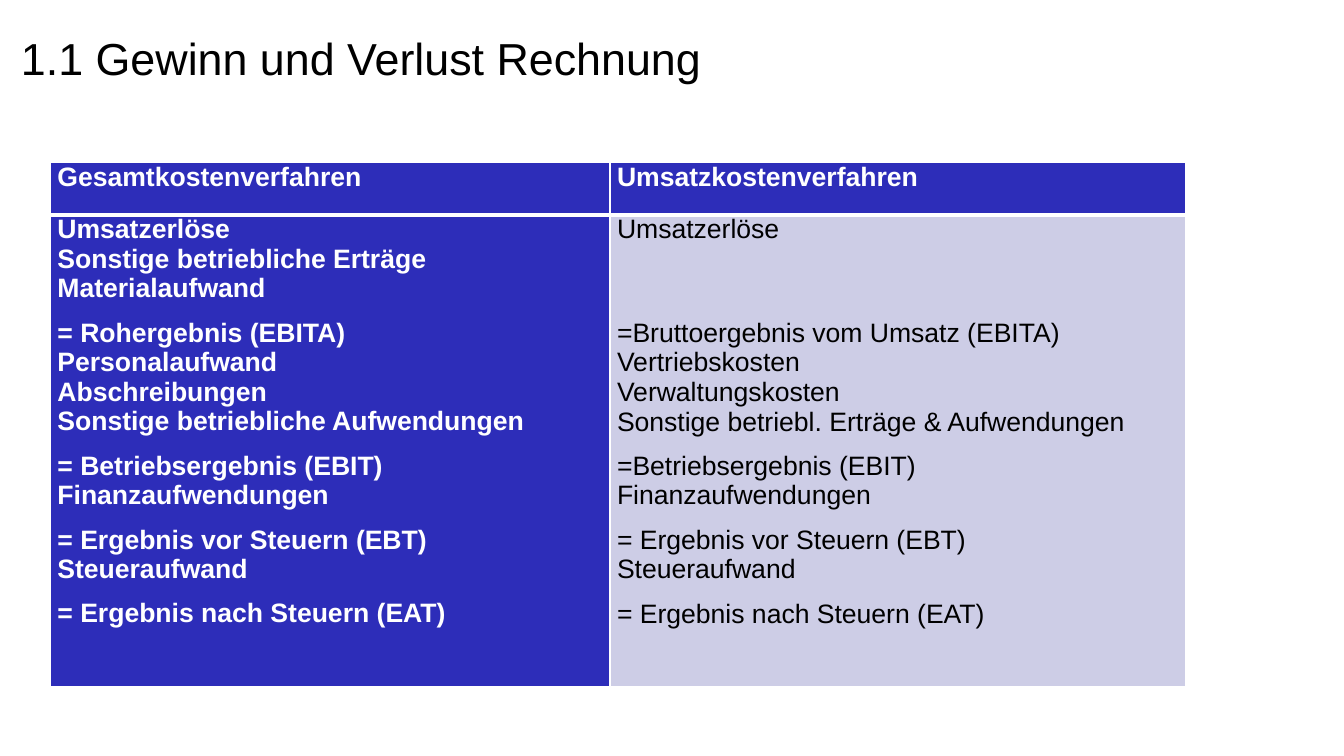
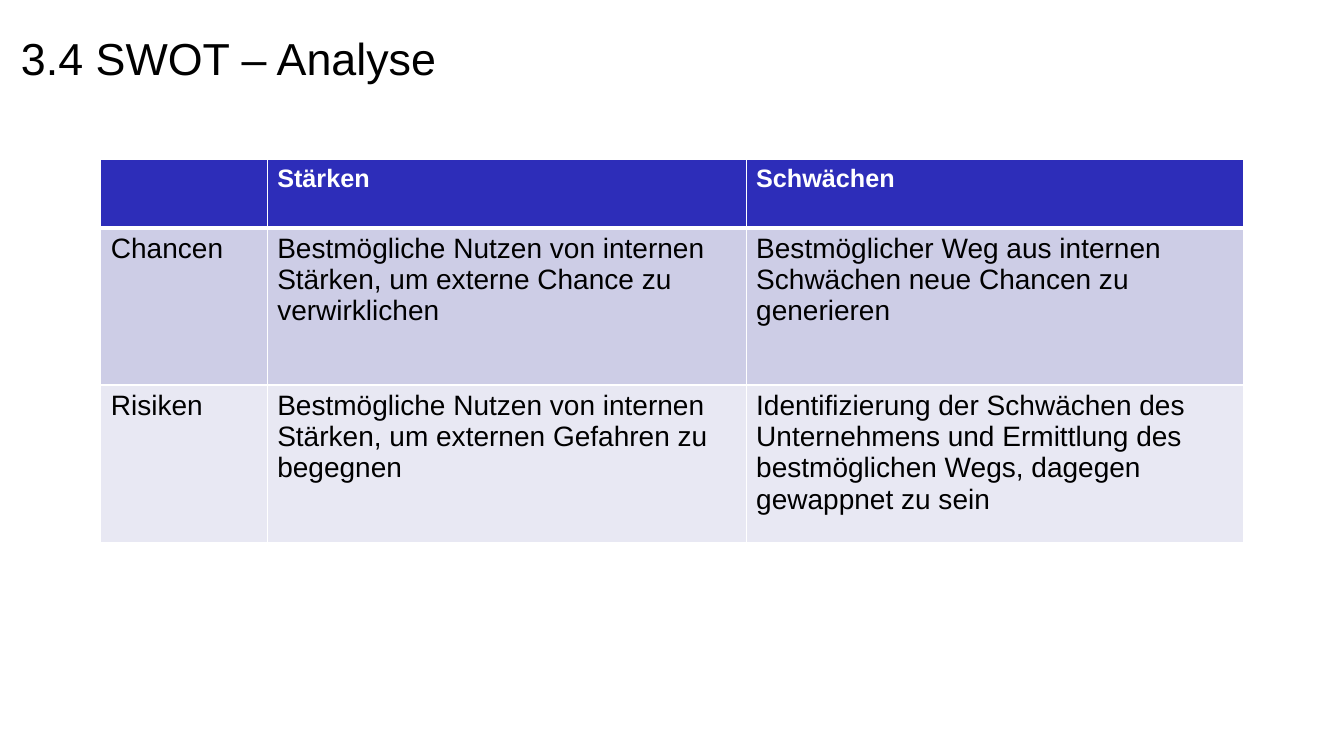
"""Build two slides with tables on profit and loss accounting and SWOT analysis."""
import pptx
import pptx.dml.color
import pptx.enum.text
import pptx.oxml
import pptx.oxml.ns
import pptx.util

Inches, Pt = pptx.util.Inches, pptx.util.Pt
RGBColor = pptx.dml.color.RGBColor

BLUE = RGBColor(0x2D, 0x2D, 0xB9)
LAVENDER = RGBColor(0xCD, 0xCD, 0xE6)
PALE = RGBColor(0xE8, 0xE8, 0xF3)
WHITE = RGBColor(0xFF, 0xFF, 0xFF)
BLACK = RGBColor(0x00, 0x00, 0x00)
FONT = "Arial"
THIN, THICK = 1, 3
LINE_FACTOR = 1.117

TOTAL_COST = [
    "Umsatzerlöse", "Sonstige betriebliche Erträge", "Materialaufwand",
    "= Rohergebnis (EBITA)", "Personalaufwand", "Abschreibungen",
    "Sonstige betriebliche Aufwendungen",
    "= Betriebsergebnis (EBIT)", "Finanzaufwendungen",
    "= Ergebnis vor Steuern (EBT)", "Steueraufwand",
    "= Ergebnis nach Steuern (EAT)",
]
COST_OF_SALES = [
    "Umsatzerlöse",
    "=Bruttoergebnis vom Umsatz (EBITA)", "Vertriebskosten", "Verwaltungskosten",
    "Sonstige betriebl. Erträge & Aufwendungen",
    "=Betriebsergebnis (EBIT)", "Finanzaufwendungen",
    "= Ergebnis vor Steuern (EBT)", "Steueraufwand",
    "= Ergebnis nach Steuern (EAT)",
]

SLIDES = [
    {
        "title": "1.1 Gewinn und Verlust Rechnung",
        "at": (0.5, 1.61),
        "cols": [5.55, 5.71],
        "rows": [0.52, 4.68],
        "insets": (0.07, 0),
        "sizes": (19, 19),
        "strong_first_col": True,
        "gaps": {"=Bruttoergebnis vom Umsatz (EBITA)": 2},
        "cells": [
            [["Gesamtkostenverfahren"], ["Umsatzkostenverfahren"]],
            [TOTAL_COST, COST_OF_SALES],
        ],
    },
    {
        "title": "3.4 SWOT – Analyse",
        "at": (1, 1.58),
        "cols": [1.65, 4.75, 4.93],
        "rows": [0.68, 1.56, 1.56],
        "insets": (0.1, 0.05),
        "sizes": (18, 20),
        "strong_first_col": False,
        "gaps": {},
        "cells": [
            [[], ["Stärken"], ["Schwächen"]],
            [["Chancen"],
             ["Bestmögliche Nutzen von internen Stärken, um externe Chance zu verwirklichen"],
             ["Bestmöglicher Weg aus internen Schwächen neue Chancen zu generieren"]],
            [["Risiken"],
             ["Bestmögliche Nutzen von internen Stärken, um externen Gefahren zu begegnen"],
             ["Identifizierung der Schwächen des Unternehmens und Ermittlung des "
              "bestmöglichen Wegs, dagegen gewappnet zu sein"]],
        ],
    },
]


def add_run(p, text, size, color, bold=False):
    r = p.add_run()
    r.text = text
    r.font.name, r.font.size, r.font.bold = FONT, Pt(size), bold
    r.font.color.rgb = color


def add_title(s, text):
    sp = s.shapes.add_textbox(Inches(0.11), Inches(0.28), Inches(11.33), Inches(0.58))
    tf = sp.text_frame
    tf.word_wrap = True
    tf.vertical_anchor = pptx.enum.text.MSO_ANCHOR.MIDDLE
    add_run(tf.paragraphs[0], text, 32, BLACK)


def set_borders(cell, row):
    widths = {
        "L": THIN, "R": THIN,
        "T": THICK if row == 1 else THIN,
        "B": THICK if row == 0 else THIN,
    }
    tc_pr = cell._tc.get_or_add_tcPr()
    for i, (side, width) in enumerate(widths.items()):
        tc_pr.insert(i, pptx.oxml.parse_xml(
            f'<a:ln{side} {pptx.oxml.ns.nsdecls("a")} w="{Pt(width)}">'
            f'<a:solidFill><a:srgbClr val="{WHITE}"/></a:solidFill></a:ln{side}>'))


def fill_cell(cell, lines, row, col, data):
    strong = row == 0 or (col == 0 and data["strong_first_col"])
    size = data["sizes"][min(row, 1)]
    cell.fill.solid()
    cell.fill.fore_color.rgb = BLUE if strong else (LAVENDER if row == 1 else PALE)
    set_borders(cell, row)
    side, top = map(Inches, data["insets"])
    cell.margin_left = cell.margin_right = side
    cell.margin_top = cell.margin_bottom = top
    tf = cell.text_frame
    for i, line in enumerate(lines):
        p = tf.add_paragraph() if i else tf.paragraphs[0]
        if line.startswith("="):
            p.line_spacing = 1.5
        if line in data["gaps"]:
            p.space_before = Pt(round(data["gaps"][line] * size * LINE_FACTOR, 1))
        add_run(p, line, size, WHITE if strong else BLACK, strong)


def add_grid(s, data):
    cols, rows = data["cols"], data["rows"]
    left, top = data["at"]
    table = s.shapes.add_table(len(rows), len(cols), Inches(left), Inches(top),
                               Inches(sum(cols)), Inches(sum(rows))).table
    table.horz_banding = False
    for column, width in zip(table.columns, cols):
        column.width = Inches(width)
    for row, height in zip(table.rows, rows):
        row.height = Inches(height)
    for i, row in enumerate(data["cells"]):
        for j, lines in enumerate(row):
            fill_cell(table.cell(i, j), lines, i, j, data)


def main():
    prs = pptx.Presentation()
    prs.slide_width, prs.slide_height = Inches(13.33), Inches(7.5)
    for data in SLIDES:
        s = prs.slides.add_slide(prs.slide_layouts[6])
        add_title(s, data["title"])
        add_grid(s, data)
    prs.save("out.pptx")


if __name__ == "__main__":
    main()
